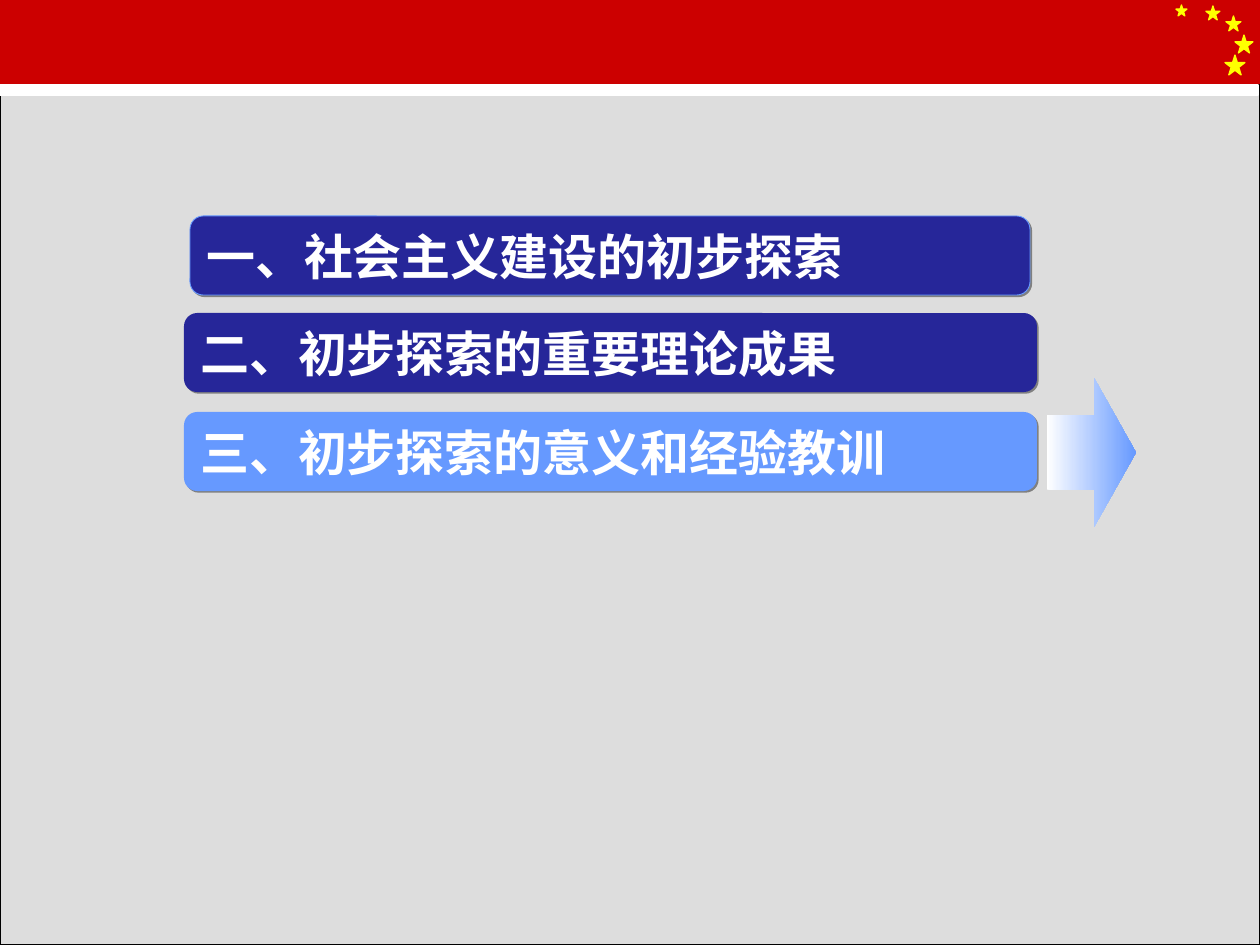
from lxml.etree import SubElement
from pptx import Presentation
from pptx.dml.color import RGBColor
from pptx.enum.shapes import MSO_SHAPE
from pptx.enum.text import MSO_ANCHOR, PP_ALIGN
from pptx.oxml.ns import qn
from pptx.util import Emu, Pt

PX = 914400 / 126
COLORS = {
    "background": "EAEAEA",
    "panel": "DDDDDD",
    "banner": "CC0000",
    "star": "FFFF00",
    "navy": "262699",
    "sky": "6699FF",
    "white": "FFFFFF",
    "black": "000000",
    "shadow": "808080",
}
STARS = [(1225, 55, 20), (1206, 6, 14), (1176, 5, 11), (1226, 16, 15), (1235, 35, 18)]
TOPICS = [
    ("一、社会主义建设的初步探索", 190, 216, 840, "navy", "sky"),
    ("二、初步探索的重要理论成果", 184, 313, 853, "navy", None),
    ("三、初步探索的意义和经验教训", 184, 412, 853, "sky", None),
]
TOPIC_HEIGHT = 79


def px(n):
    return Emu(round(n * PX))


def rgb(name):
    return RGBColor.from_string(COLORS[name])


def add_shape(slide, kind, x, y, w, h, fill, line=None, width=0.75):
    sp = slide.shapes.add_shape(kind, px(x), px(y), px(w), px(h))
    sp.shadow.inherit = False
    sp.fill.solid()
    sp.fill.fore_color.rgb = rgb(fill)
    if line:
        sp.line.color.rgb = rgb(line)
        sp.line.width = Pt(width)
    else:
        sp.line.fill.background()
    return sp


def add_shadow(sp):
    effects = sp._element.spPr.find(qn("a:effectLst"))
    shadow = SubElement(effects, qn("a:outerShdw"), dist=str(Pt(1.4)),
                        dir="2700000", algn="ctr", rotWithShape="0")
    SubElement(shadow, qn("a:srgbClr"), val=COLORS["shadow"])


def add_topic(slide, text, x, y, w, fill, line):
    sp = add_shape(slide, MSO_SHAPE.ROUNDED_RECTANGLE, x, y, w, TOPIC_HEIGHT, fill, line, 0.5)
    add_shadow(sp)
    tf = sp.text_frame
    tf.word_wrap = True
    tf.vertical_anchor = MSO_ANCHOR.MIDDLE
    p = tf.paragraphs[0]
    p.alignment = PP_ALIGN.LEFT
    r = p.add_run()
    r.text = text
    r.font.name = "Times New Roman"
    r.font.size = Pt(28)
    r.font.bold = True
    r.font.color.rgb = rgb("white")


def add_arrow(slide, x, y, w, h):
    sp = add_shape(slide, MSO_SHAPE.RIGHT_ARROW, x, y, w, h, "sky")
    sp.adjustments[1] = 0.47
    sp.fill.gradient()
    sp.fill.gradient_angle = 0
    for stop, color in zip(sp.fill.gradient_stops, ("white", "sky")):
        stop.color.rgb = rgb(color)


def add_backdrop(slide):
    slide.background.fill.solid()
    slide.background.fill.fore_color.rgb = rgb("background")
    add_shape(slide, MSO_SHAPE.RECTANGLE, 0, 0, 1260, 84, "banner")
    for x, y, size in STARS:
        add_shape(slide, MSO_SHAPE.STAR_5_POINT, x, y, size, size, "star", "star")
    add_shape(slide, MSO_SHAPE.RECTANGLE, 0, 85, 1260, 860, "panel", "black")
    add_shape(slide, MSO_SHAPE.RECTANGLE, 0, 85, 1258, 10, "white", "white")


def main():
    prs = Presentation()
    prs.slide_width, prs.slide_height = px(1260), px(945)
    slide = prs.slides.add_slide(prs.slide_layouts[6])
    add_backdrop(slide)
    for topic in TOPICS:
        add_topic(slide, *topic)
    add_arrow(slide, 1047, 378, 89, 149)
    prs.save("out.pptx")


if __name__ == "__main__":
    main()
